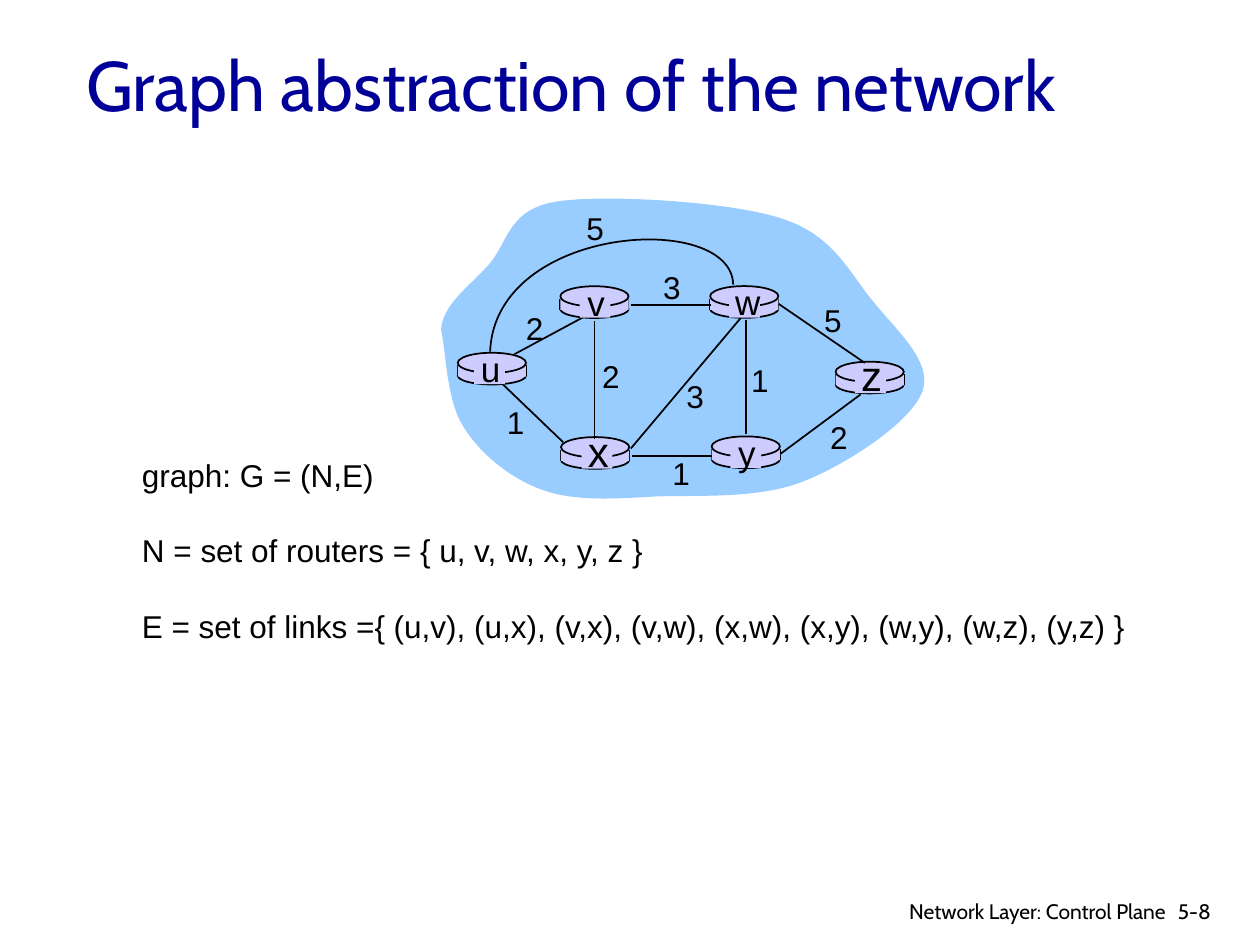
import pptx
import pptx.dml.color
import pptx.enum.shapes
import pptx.enum.text
import pptx.oxml.ns
import pptx.util
from lxml import etree

Pt = pptx.util.Pt
qn = pptx.oxml.ns.qn
SHAPE = pptx.enum.shapes.MSO_SHAPE
ALIGN = pptx.enum.text.PP_ALIGN
ANCHOR = pptx.enum.text.MSO_ANCHOR
BLACK = pptx.dml.color.RGBColor(0x00, 0x00, 0x00)
NAVY = pptx.dml.color.RGBColor(0x00, 0x00, 0x99)
SKY = pptx.dml.color.RGBColor(0x99, 0xCC, 0xFF)
LILAC = pptx.dml.color.RGBColor(0xCC, 0xCC, 0xFF)

deck = pptx.Presentation()
deck.slide_width, deck.slide_height = Pt(720), Pt(540)
slide = deck.slides.add_slide(deck.slide_layouts[6])
shapes = slide.shapes


def write(lines, left, top, width, height, size, font="Arial", color=BLACK,
          align=ALIGN.LEFT, anchor=ANCHOR.TOP, wrap=False, gap=0):
    frame = shapes.add_textbox(Pt(left), Pt(top), Pt(width), Pt(height)).text_frame
    frame.word_wrap = wrap
    frame.vertical_anchor = anchor
    frame.text = "\n".join(lines)
    for number, paragraph in enumerate(frame.paragraphs):
        paragraph.alignment = align
        paragraph.space_before = Pt(gap if number else 0)
        paragraph.font.name = font
        paragraph.font.size = Pt(size)
        paragraph.font.color.rgb = color


def curve(start, controls, closed):
    """Draw cubic Beziers; every three points are two handles and an end."""
    builder = shapes.build_freeform(Pt(start[0]), Pt(start[1]))
    builder.add_line_segments([(Pt(x), Pt(y)) for x, y in controls], close=closed)
    outline = builder.convert_to_shape()
    outline.shadow.inherit = False
    segments = list(outline._element.iter(qn("a:lnTo")))
    for first in range(0, len(controls), 3):
        bezier = etree.Element(qn("a:cubicBezTo"))
        segments[first].addprevious(bezier)
        for segment in segments[first:first + 3]:
            bezier.append(segment[0])
            segment.getparent().remove(segment)
    return outline


# Network cloud
cloud = curve((252, 188.6), [
    (252.7, 174.2), (268.6, 163.4), (279.4, 151.2),
    (290.2, 139), (290.2, 119.5), (318.2, 115.2),
    (345.6, 110.9), (416.2, 115.2), (445.7, 124.6),
    (475.9, 133.9), (484.6, 154.8), (498.2, 171.4),
    (511.2, 187.9), (533.5, 206.6), (527, 223.9),
    (520.6, 241.2), (484.6, 265), (459.4, 275),
    (434.2, 285.1), (401, 283), (375.8, 283.7),
    (351.4, 285.1), (328.3, 286.6), (310.3, 280.1),
    (291.6, 273.6), (274.3, 259.2), (265, 244.1),
    (254.9, 228.9), (254.9, 200.2), (252, 188.6),
], True)
cloud.fill.solid()
cloud.fill.fore_color.rgb = SKY
cloud.line.fill.background()

# Routers: left, top, centre of the name, size of the name
ROUTERS = {"u": (261.6, 201.6, 280.4, 20), "x": (320.6, 249.8, 341.8, 24),
           "v": (320.2, 163.6, 340.6, 20), "w": (405.8, 163.5, 426, 20),
           "y": (406.7, 249.4, 426.8, 20), "z": (477.5, 206.7, 498, 24)}

# Link u-v lies under the routers, the other links over them
uv_link = [(294, 202.4, 336.8, 179.4)]
other_links = [
    (426.2, 182.9, 426.2, 248),     # w-y
    (339.8, 183.6, 339.8, 250.6),   # v-x
    (360.5, 256.3, 423.4, 181.6),   # x-w
    (446.2, 259.2, 491.8, 225.4),   # y-z
    (406.8, 260.4, 361.4, 260.4),   # x-y
    (321.8, 252.7, 287.3, 219.6),   # u-x
    (406.1, 174.2, 360.7, 174.2),   # v-w
    (494.2, 207.4, 445, 173.7),     # w-z
]
sides = [(x + dx, y + 7.2, x + dx, y + 13.5)
         for x, y, _, _ in ROUTERS.values() for dx in (0, 39)]

# Each router is a base, a body and a top; the plates come after the links
bases = [(SHAPE.OVAL, x, y + 8.1, 39, 10, True) for x, y, _, _ in ROUTERS.values()]
bodies = [(SHAPE.RECTANGLE, x, y + 7.2, 39, 6.4, False)
          for x, y, _, _ in ROUTERS.values()]
tops = [(SHAPE.OVAL, x, y, 39, 11.5, True) for x, y, _, _ in ROUTERS.values()]
plates = [(SHAPE.RECTANGLE, centre - 9.4, y + 1.5, 17.6, 16.5, False)
          for _, y, centre, _ in ROUTERS.values()]

for lines, solids in ((uv_link, bases), (sides, bodies + tops), (other_links, plates)):
    for x1, y1, x2, y2 in lines:
        line = shapes.add_connector(pptx.enum.shapes.MSO_CONNECTOR.STRAIGHT,
                                    Pt(x1), Pt(y1), Pt(x2), Pt(y2))
        line.line.color.rgb = BLACK
        line.line.width = Pt(1)
        etree.SubElement(line._element.find(qn("p:spPr")), qn("a:effectLst"))
    for kind, left, top, width, height, outlined in solids:
        solid = shapes.add_shape(kind, Pt(left), Pt(top), Pt(width), Pt(height))
        solid.shadow.inherit = False
        solid.fill.solid()
        solid.fill.fore_color.rgb = LILAC
        if outlined:
            solid.line.color.rgb = BLACK
            solid.line.width = Pt(1)
        else:
            solid.line.fill.background()

# Curved link u-w
uw_link = curve((419, 162.7), [(418.3, 120.2), (283, 128.2), (280.1, 200.9)], False)
uw_link.fill.background()
uw_link.line.color.rgb = BLACK
uw_link.line.width = Pt(1)

# Router names
for name, (_, y, centre, size) in ROUTERS.items():
    rise, height = (10.4, 36) if size == 24 else (6.5, 31)
    write([name], centre - 13, y - rise, 26, height, size, align=ALIGN.CENTER)

# Link costs
COSTS = [("2", 293.3, 172.8), ("2", 336.8, 200.2), ("1", 282.4, 226.8),
         ("3", 385, 211.7), ("1", 377, 256), ("1", 422, 202.5),
         ("2", 467.1, 235.4), ("5", 463.7, 168.5), ("3", 371.7, 149.8),
         ("5", 327.8, 116.2)]
for cost, left, top in COSTS:
    write([cost], left, top, 24.5, 28.8, 18, align=ALIGN.CENTER)

# Definitions
write(["graph: G = (N,E)",
       "N = set of routers = { u, v, w, x, y, z }",
       "E = set of links ={ (u,v), (u,x), (v,x), (v,w), (x,w), (x,y), (w,y), (w,z), (y,z) }"],
      74, 257, 582.5, 115.2, 18, gap=21.6)

# Title and footer
write(["Graph abstraction of the network"], 42.2, 16.6, 612, 62.6, 40, "Cabin", NAVY,
      anchor=ANCHOR.MIDDLE, wrap=True)
write(["5-8"], 666, 509.8, 43.2, 21.6, 12, "Cabin", wrap=True)
write(["Network Layer: Control Plane"], 502, 509.8, 171.4, 18.7, 12, "Cabin",
      align=ALIGN.RIGHT, wrap=True)

deck.save("out.pptx")
